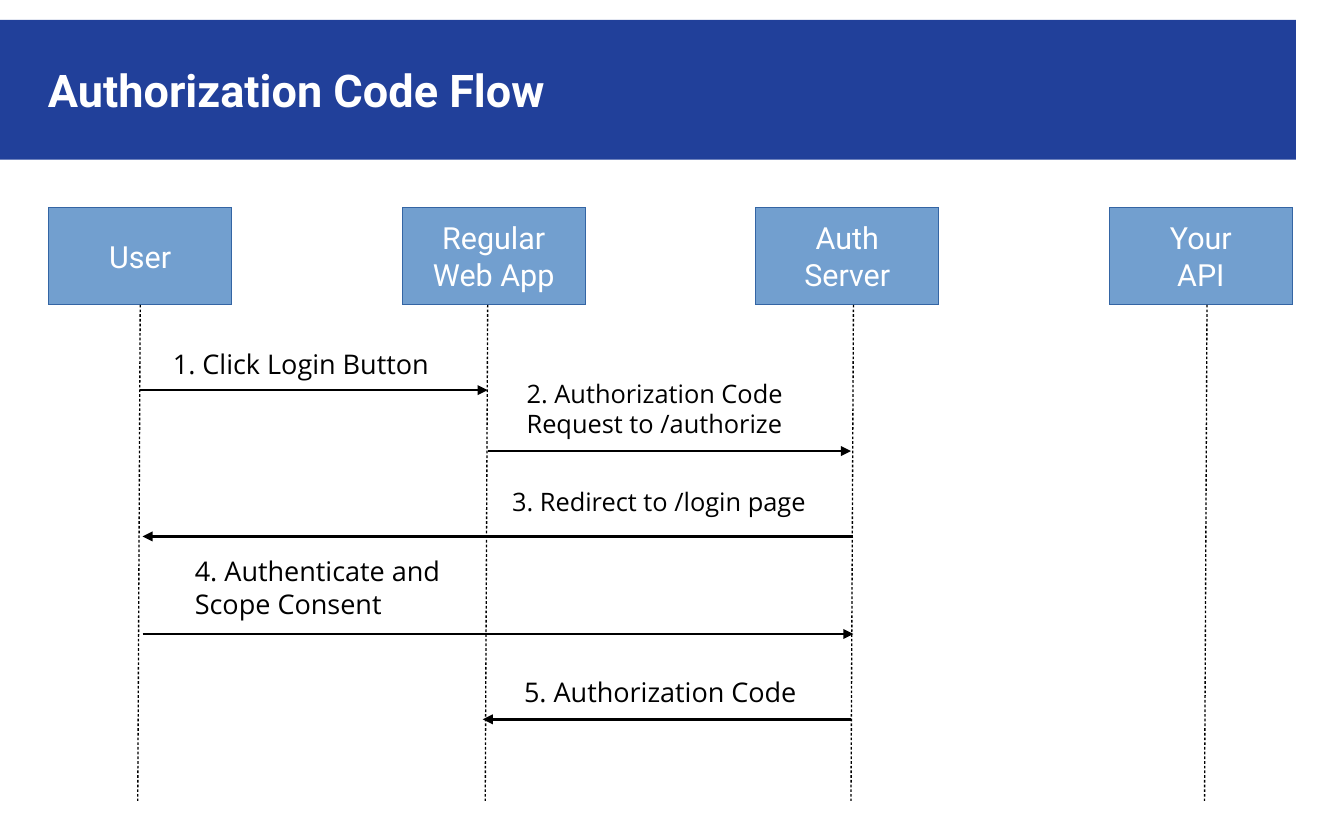
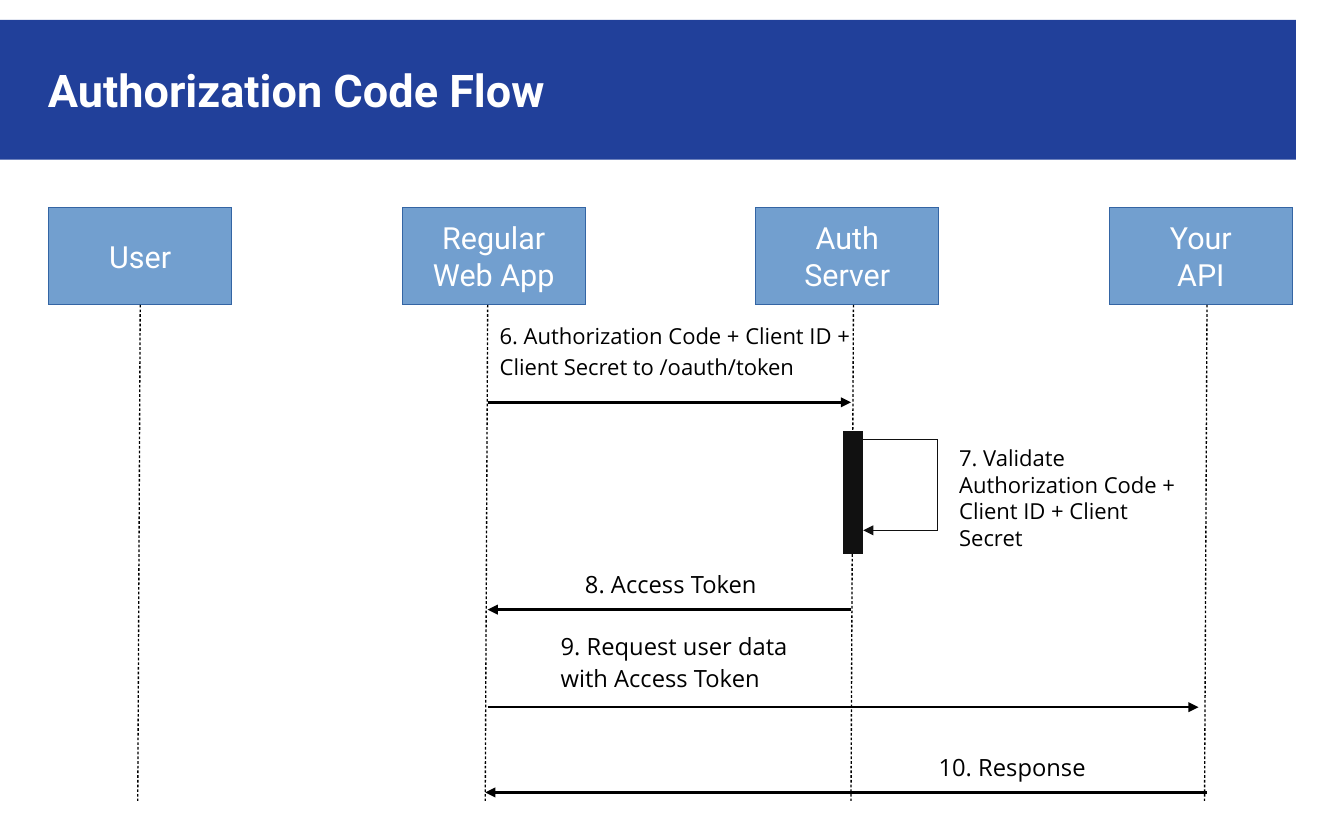
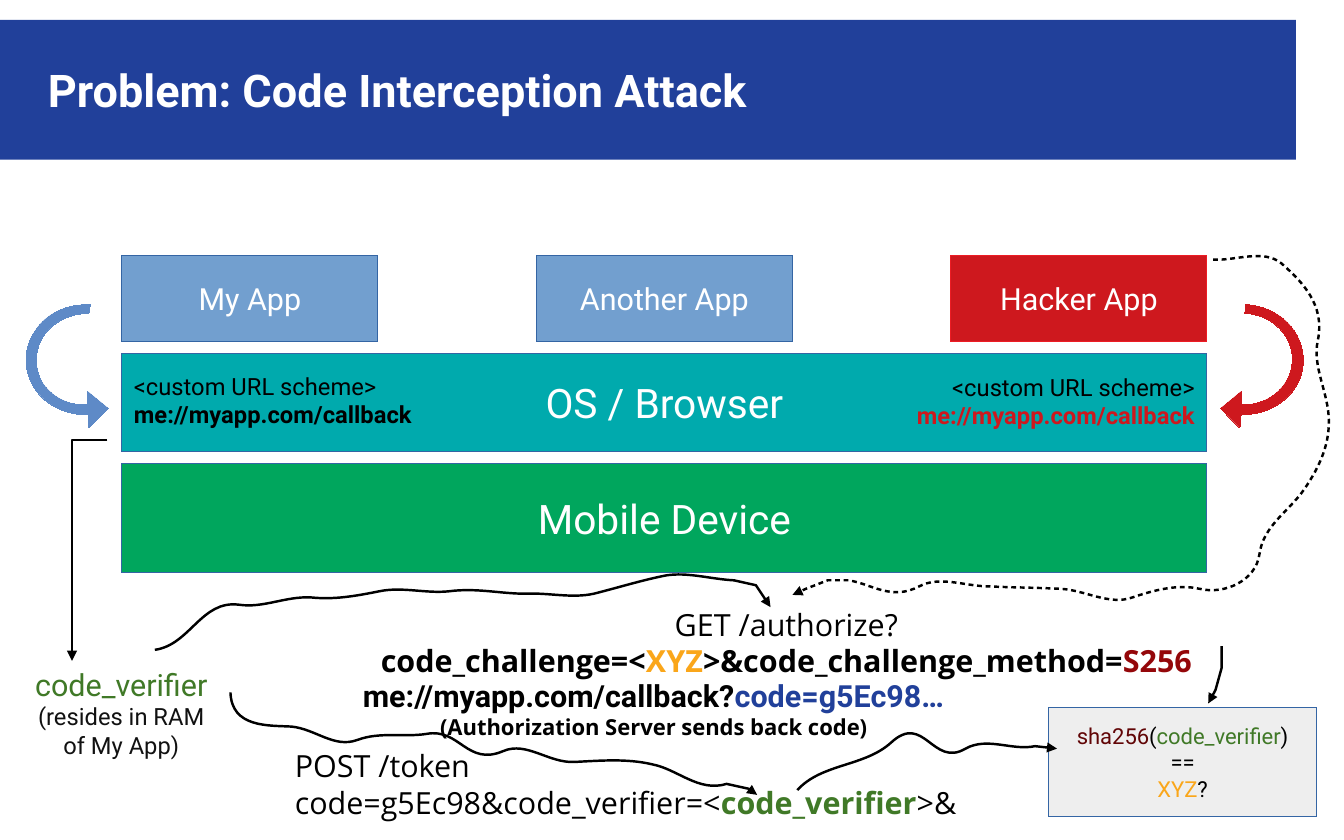
from lxml import etree
from pptx import Presentation
from pptx.dml.color import RGBColor
from pptx.enum import shapes, text
from pptx.oxml.ns import qn
from pptx.util import Pt

COLORS = {
    "band": "21409A", "box": "729FCF", "edge": "3465A4", "white": "FFFFFF",
    "black": "000000", "ink": "111111", "teal": "00AAAD", "green": "00A65D",
    "red": "CE181E", "red_edge": "ED1C24", "loop": "5E8AC7", "panel": "EEEEEE",
    "verifier": "407927", "challenge": "FAA61A", "method": "94070A", "hash": "610506",
}
HEADING, BODY = "Roboto", "Open Sans"
LEFT, CENTER, RIGHT = text.PP_ALIGN.LEFT, text.PP_ALIGN.CENTER, text.PP_ALIGN.RIGHT
WIDTH, HEIGHT = 793.7, 496.06
STROKE, HAIRLINE = 1.45, 0.01
GRID = 0.72  # points per unit of the outlines below

# Sequence diagram: participants and the lifelines below them
ACTORS = [["User"], ["Regular\nWeb App"], ["Auth", "Server"], ["Your\nAPI"]]
LIFELINES = USER, APP, AUTH, API = 82.8, 288, 504, 712.8
ACTOR_LEFT, ACTOR_TOP, ACTOR_STEP = 28.8, 122.4, 208.8
ACTOR_WIDTH, ACTOR_HEIGHT = 108, 57.6

# Each message: start x, end x, y
LOGIN_ARROWS = [(USER, APP, 230.4), (APP, 502.6, 266.4), (AUTH, 84.2, 316.8),
                (84.2, AUTH, 374.4), (502.6, 285.1, 424.8)]
TOKEN_ARROWS = [(APP, 502.6, 237.6), (502.6, APP, 360), (APP, 707.8, 417.6),
                (API, 286.6, 468)]

# Each label: wording, place (left, top, width, height), size, other settings
LOGIN_LABELS = [
    ("1. Click Login Button", (95, 201.6, 178.6, 38.9), 16, {}),
    ("2. Authorization Code Request to /authorize", (311, 223.2, 178.6, 41), 15,
     {"inset": False}),
    ("3. Redirect to /login page", (302.4, 287.3, 194.4, 31.7), 15, {"inset": False}),
    ("4. Authenticate and Scope Consent", (108, 324, 187.2, 50.4), 16, {}),
    ("5. Authorization Code", (302.4, 395.3, 194.4, 38.9), 16, {}),
]
TOKEN_LABELS = [
    ("6. Authorization Code + Client ID + Client Secret to /oauth/token",
     (288, 183.6, 224.6, 57.6), 13, {"spacing": 1.2}),
    ("7. Validate Authorization Code + Client ID + Client Secret",
     (559.4, 259.2, 152, 86.4), 13, {}),
    ("8. Access Token", (338.4, 332.8, 122.4, 28.8), 14, {}),
    ("9. Request user data with Access Token", (324, 367.6, 151.2, 48.2), 14,
     {"spacing": 1.12}),
    ("10. Response", (547.2, 440.8, 122.4, 28.8), 14, {}),
]

# Outlines in grid units: a start, then lines (x, y) and
# curves (control x, y, control x, y, end x, y)
AUTHORIZE_ROUTE = [
    (127, 533), (156, 529, 165, 492, 196, 496), (216, 499, 234, 489, 255, 490),
    (274, 492, 291, 489, 311, 485), (330, 481, 349, 487, 368, 485),
    (391, 482, 410, 487, 431, 487), (450, 486, 469, 491, 487, 487),
    (507, 482, 526, 476, 546, 472), (564, 469, 583, 475, 602, 476),
    (620, 480), (632, 498)]
HACKER_ROUTE = [
    (995, 213), (1014, 214, 1036, 204, 1051, 216), (1068, 231, 1087, 250, 1081, 279),
    (1076, 301, 1090, 322, 1090, 346), (1090, 367, 1081, 385, 1070, 401),
    (1058, 419, 1036, 431, 1033, 455), (1030, 476, 1005, 488, 984, 483),
    (966, 479, 947, 484, 929, 490), (910, 497, 890, 484, 870, 483),
    (850, 482, 831, 482, 811, 481), (792, 481, 771, 472, 754, 481),
    (731, 493, 715, 479, 696, 476), (679, 476), (661, 483), (650, 488)]
TOKEN_ROUTE = [
    (189, 568), (190, 597, 220, 595, 239, 596), (259, 598, 274, 614, 293, 607),
    (312, 600, 331, 605, 350, 602), (377, 597, 383, 629, 413, 616),
    (432, 608, 450, 626, 471, 625), (492, 624, 514, 622, 535, 627),
    (556, 631, 573, 650, 596, 643), (614, 647), (621, 652)]
VERIFY_ROUTE = [
    (654, 648), (674, 626, 709, 629, 731, 609), (758, 584, 765, 630, 792, 614),
    (810, 604, 830, 616, 849, 612), (867, 614)]
CHALLENGE_ROUTE = [(1002, 530), (1002, 548), (997, 566), (991, 577)]
HACKER_LOOP = [
    (1018, 332), (1040, 333, 1059, 317, 1060, 296), (1061, 276, 1044, 258, 1021, 257),
    (1022, 250), (1049, 251, 1070, 272, 1069, 297), (1068, 322, 1045, 341, 1018, 340),
    (1017, 351), (1001, 335), (1018, 321)]
MY_LOOP = [
    (72, 332), (57, 333, 43, 326, 35, 314), (28, 302, 28, 287, 36, 275),
    (44, 264, 58, 257, 73, 257), (74, 250), (55, 249, 38, 257, 29, 271),
    (19, 285, 19, 303, 28, 318), (37, 332, 54, 341, 73, 340),
    (73, 351), (89, 335), (72, 321)]


def rgb(name):
    return RGBColor.from_string(COLORS[name])


def write(frame, lines, font, size, color="black", bold=False, align=LEFT, spacing=1):
    """A line is a string, or a dict of runs and the font settings it changes.

    A run is a string, or a tuple of wording, colour and optional bold.
    """
    frame.word_wrap = True
    for index, line in enumerate(lines):
        style = {"runs": [line]} if isinstance(line, str) else line
        paragraph = frame.paragraphs[0] if index == 0 else frame.add_paragraph()
        paragraph.alignment = align
        paragraph.line_spacing = spacing
        paragraph.font.name = style.get("font", font)
        paragraph.font.size = Pt(style.get("size", size))
        paragraph.font.bold = style.get("bold", bold)
        paragraph.font.color.rgb = rgb(style.get("color", color))
        for part in style["runs"]:
            wording, *changes = (part,) if isinstance(part, str) else part
            for row, piece in enumerate(wording.split("\n")):
                if row:
                    paragraph.add_line_break()
                if not piece:
                    continue
                run = paragraph.add_run()
                run.text = piece
                if changes:
                    run.font.color.rgb = rgb(changes[0])
                if len(changes) > 1:
                    run.font.bold = changes[1]
                if len(changes) > 2:
                    run.font.size = Pt(changes[2])


def add_text(slide, lines, place, font, size, middle=False, inset=True, **style):
    frame = slide.shapes.add_textbox(*map(Pt, place)).text_frame
    if middle:
        frame.vertical_anchor = text.MSO_ANCHOR.MIDDLE
    if not inset:
        frame.margin_left = frame.margin_right = frame.margin_top = frame.margin_bottom = 0
    write(frame, lines, font, size, **style)


def add_box(slide, lines, place, fill, edge="edge", size=18, color="white"):
    box = slide.shapes.add_shape(shapes.MSO_SHAPE.RECTANGLE, *map(Pt, place))
    box.shadow.inherit = False
    box.fill.solid()
    box.fill.fore_color.rgb = rgb(fill)
    if edge:
        style_line(box.line, HAIRLINE, edge)
    else:
        box.line.fill.background()
    if lines:
        write(box.text_frame, lines, HEADING, size, color, align=CENTER)


def style_line(line, width, color="black", arrow=False, dashed=False):
    line.color.rgb = rgb(color)
    line.width = Pt(width)
    ln = line._get_or_add_ln()
    if dashed:
        dashes = etree.SubElement(ln, qn("a:custDash"))
        etree.SubElement(dashes, qn("a:ds"), d="200000", sp="150000")
    if arrow:
        etree.SubElement(ln, qn("a:tailEnd"), type="triangle")


def add_line(slide, start, end, width=STROKE, kind=shapes.MSO_CONNECTOR.STRAIGHT, **style):
    line = slide.shapes.add_connector(kind, *map(Pt, start), *map(Pt, end))
    style_line(line.line, width, **style)
    etree.SubElement(line._element.spPr, qn("a:effectLst"))
    return line


def add_bent_line(slide, start, end, turn, preset, bend=None, **style):
    """Elbow from start to end, then turned by whole degrees about its middle."""
    line = add_line(slide, start, end, kind=shapes.MSO_CONNECTOR.ELBOW, **style)
    properties = line._element.spPr
    properties.find(qn("a:xfrm")).set("rot", str(turn * 60000))
    geometry = properties.find(qn("a:prstGeom"))
    geometry.set("prst", preset)
    if bend is not None:
        etree.SubElement(geometry.find(qn("a:avLst")), qn("a:gd"),
                         name="adj1", fmla=f"val {bend}")


def add_outline(slide, route, close=False):
    anchors = [step[-2:] for step in route]
    builder = slide.shapes.build_freeform(*anchors[0], scale=Pt(GRID))
    builder.add_line_segments(anchors[1:], close=close)
    outline = builder.convert_to_shape()
    outline.shadow.inherit = False

    # Turn the segments that have control points into curves
    left, top = (min(values) for values in zip(*anchors))
    segments = list(outline._element.iter(qn("a:lnTo")))
    for segment, step in zip(segments, route[1:]):
        if len(step) == 6:
            curve = etree.Element(qn("a:cubicBezTo"))
            for x, y in zip(step[::2], step[1::2]):
                etree.SubElement(curve, qn("a:pt"), x=str(x - left), y=str(y - top))
            segment.getparent().replace(segment, curve)
    return outline


def add_curved_arrow(slide, route, dashed=False):
    curve = add_outline(slide, route)
    curve.fill.background()
    style_line(curve.line, STROKE, arrow=True, dashed=dashed)


def add_loop_arrow(slide, route, color):
    loop = add_outline(slide, route, close=True)
    loop.fill.solid()
    loop.fill.fore_color.rgb = rgb(color)
    style_line(loop.line, HAIRLINE, color)


def add_titled_slide(deck, title):
    slide = deck.slides.add_slide(deck.slide_layouts[6])
    add_box(slide, [], (0, 11.7, 765.3, 82.6), "band", edge=None)
    add_text(slide, [title], (28.3, 23.5, 737, 59), HEADING, 26.6,
             middle=True, inset=False, color="white", bold=True)
    return slide


def add_sequence_slide(deck, arrows, labels):
    slide = add_titled_slide(deck, "Authorization Code Flow")
    for index, (actor, x) in enumerate(zip(ACTORS, LIFELINES)):
        add_box(slide, actor, (ACTOR_LEFT + index * ACTOR_STEP, ACTOR_TOP,
                               ACTOR_WIDTH, ACTOR_HEIGHT), "box")
        add_line(slide, (x, ACTOR_TOP + ACTOR_HEIGHT), (x - 1.44, 473), 0.79, dashed=True)
    for start, end, y in arrows:
        add_line(slide, (start, y), (end, y), arrow=True)
    for wording, place, size, settings in labels:
        add_text(slide, [wording], place, BODY, size, **settings)
    return slide


def add_validation(slide):
    add_box(slide, [], (498.2, 254.9, 11.5, 72), "ink", "ink")
    add_bent_line(slide, (558, 259.2), (499.7, 308.9), 270, "bentConnector3", bend=7900,
                  width=HAIRLINE, color="ink")
    add_line(slide, (553.7, 313.2), (509.8, 313.2), HAIRLINE, color="ink", arrow=True)


def add_attack_slide(deck):
    slide = add_titled_slide(deck, "Problem: Code Interception Attack")

    # Device layers and apps
    add_box(slide, ["Mobile Device"], (72, 273.6, 640.8, 64.8), "green", size=24)
    add_box(slide, ["OS / Browser"], (72, 208.8, 640.8, 57.6), "teal", size=24)
    apps = [("My App", "box", "edge"), ("Another App", "box", "edge"),
            ("Hacker App", "red", "red_edge")]
    for index, (app, fill, edge) in enumerate(apps):
        add_box(slide, [app], (72 + index * 244.8, 151.2, 151.2, 50.4), fill, edge)

    # Callback registrations
    scheme, callback = "<custom URL scheme>", "me://myapp.com/callback"
    add_text(slide, [scheme, {"runs": [callback], "bold": True}],
             (72, 216, 252, 50.4), HEADING, 14)
    add_text(slide, [scheme, {"runs": [callback], "bold": True, "color": "red"}],
             (475.2, 208.8, 237.6, 56.2), HEADING, 14, middle=True, align=RIGHT)
    add_loop_arrow(slide, HACKER_LOOP, "red")
    add_loop_arrow(slide, MY_LOOP, "loop")

    # Requests and responses
    add_text(slide, [
        {"runs": ["me://myapp.com/callback?", ("code=g5Ec98…", "band")]},
        {"runs": ["(Authorization Server sends back code)"], "font": BODY, "size": 13},
    ], (167, 396, 437.8, 49), HEADING, 18, bold=True, align=CENTER)
    add_text(slide, [
        {"runs": [("GET /authorize?\n", "black", False), "code_challenge=<",
                  ("XYZ", "challenge"), ">&code_challenge_method=", ("S256", "method")]},
    ], (165.6, 354.2, 597.6, 56.2), BODY, 18, bold=True, align=CENTER)
    add_bent_line(slide, (42.5, 390.2), (63.4, 259.9), 180, "bentConnector2", arrow=True)
    add_text(slide, [
        {"runs": [("code_verifier\n", "verifier", False, 18),
                  "(resides in RAM\nof My App)"]},
    ], (6.5, 389.5, 130.3, 69.8), HEADING, 14, color="ink", align=CENTER)
    add_text(slide, [
        {"runs": ["POST /token\ncode=g5Ec98&code_verifier=<",
                  ("code_verifier", "verifier", True), ">&"]},
    ], (167, 437.8, 409, 56), BODY, 18)
    add_box(slide, [
        {"runs": [("sha256", "hash"), "(", ("code_verifier", "verifier"), ")"]},
        "==",
        {"runs": [("XYZ", "challenge"), "?"]},
    ], (619.2, 417.6, 158.4, 64.8), "panel", size=13, color="black")

    # Paths between them
    add_curved_arrow(slide, AUTHORIZE_ROUTE)
    add_curved_arrow(slide, HACKER_ROUTE, dashed=True)
    for route in (TOKEN_ROUTE, VERIFY_ROUTE, CHALLENGE_ROUTE):
        add_curved_arrow(slide, route)


def main():
    deck = Presentation()
    deck.slide_width, deck.slide_height = Pt(WIDTH), Pt(HEIGHT)
    add_sequence_slide(deck, LOGIN_ARROWS, LOGIN_LABELS)
    add_validation(add_sequence_slide(deck, TOKEN_ARROWS, TOKEN_LABELS))
    add_attack_slide(deck)
    deck.save("out.pptx")


if __name__ == "__main__":
    main()
